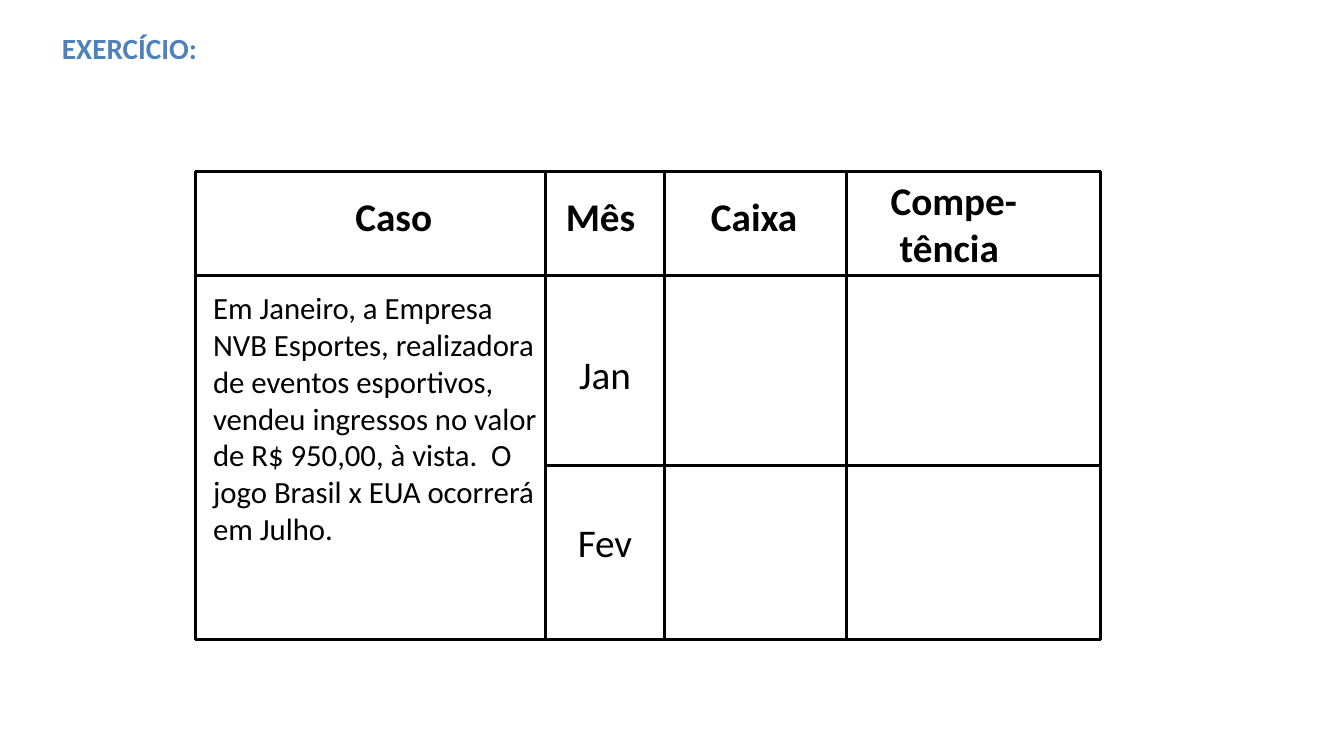
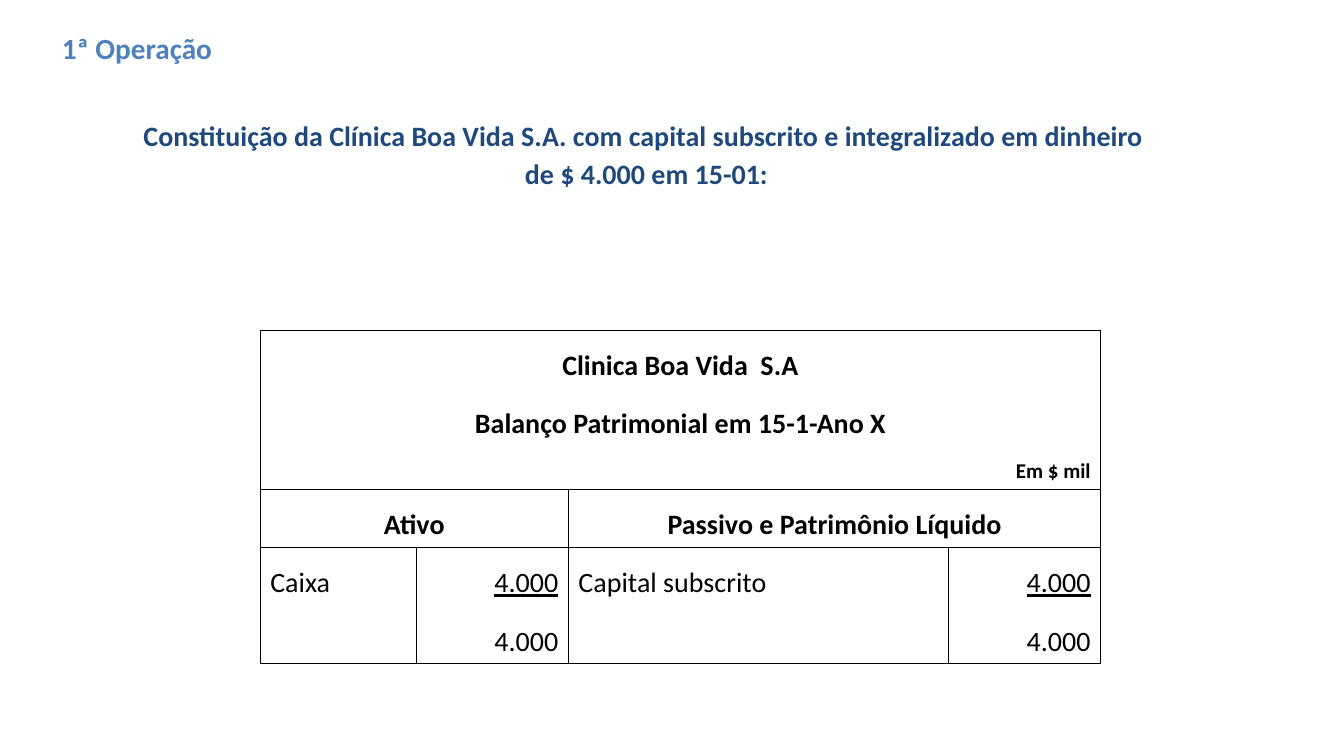
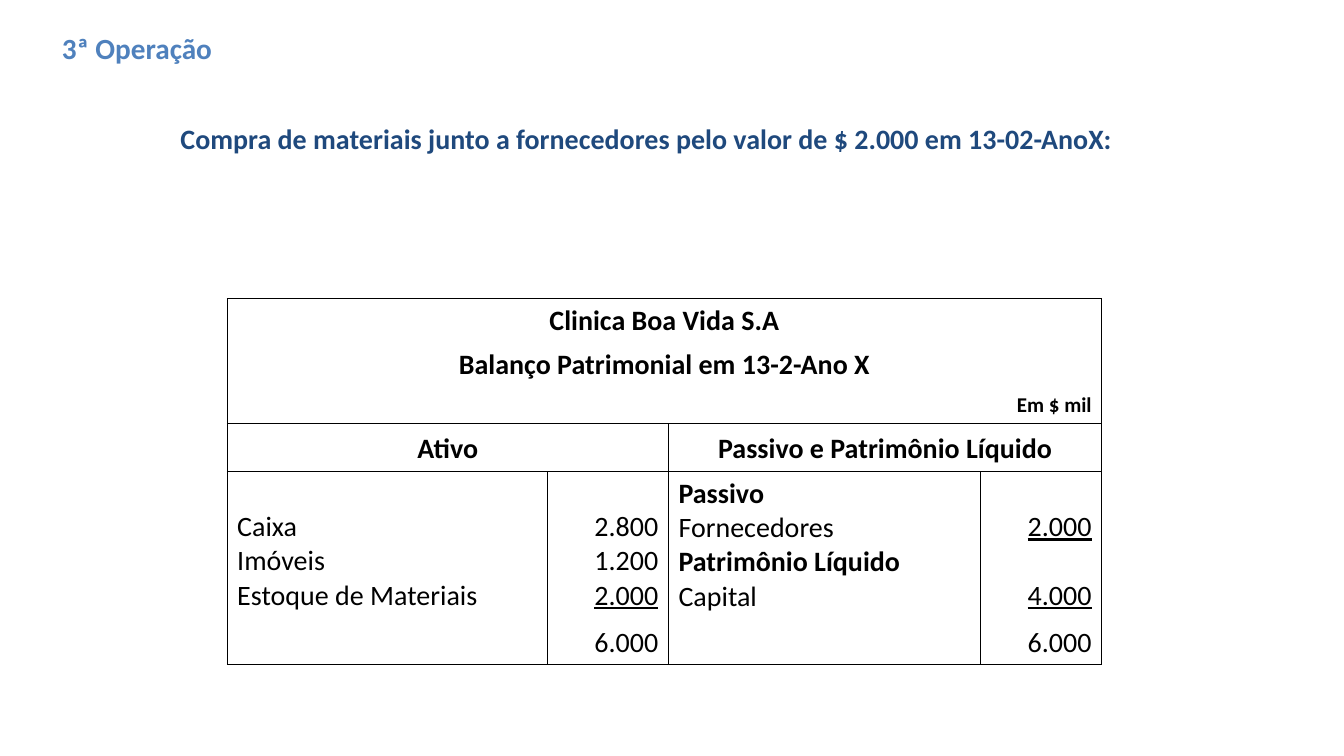
from lxml import etree
from pptx import Presentation
from pptx.dml.color import RGBColor
from pptx.enum.shapes import MSO_CONNECTOR
from pptx.enum.text import MSO_ANCHOR, PP_ALIGN
from pptx.oxml.ns import qn
from pptx.util import Emu, Pt

LEFT, CENTER, RIGHT = PP_ALIGN.LEFT, PP_ALIGN.CENTER, PP_ALIGN.RIGHT
TOP, MIDDLE, BOTTOM = MSO_ANCHOR.TOP, MSO_ANCHOR.MIDDLE, MSO_ANCHOR.BOTTOM
STRAIGHT = MSO_CONNECTOR.STRAIGHT
PX = 9080
WIDTH, HEIGHT = 1343, 755

THEME = {
    "font": "Calibri",
    "ink": "000000",
    "paper": "FFFFFF",
    "grid line": Pt(2.25),
    "table line": Pt(0.45),
    "styles": {
        "title": {"size": Pt(20.9), "bold": True, "color": "4F81BD"},
        "lead": {"size": Pt(20), "bold": True, "color": "1F497D"},
        "grid head": {"size": Pt(28), "bold": True},
        "grid month": {"size": Pt(28)},
        "grid case": {"size": Pt(22)},
        "head": {"size": Pt(20), "bold": True},
        "unit": {"size": Pt(15), "bold": True},
        "item": {"size": Pt(20)},
        "sum": {"size": Pt(20), "underline": True},
    },
}
INK = RGBColor.from_string(THEME["ink"])
PAPER = RGBColor.from_string(THEME["paper"])


def write_text(frame, lines, align, anchor):
    """Each line is (text, style) or (text, style, paragraph format)."""
    frame.word_wrap = True
    frame.vertical_anchor = anchor
    for number, (text, style, *layout) in enumerate(lines):
        para = frame.paragraphs[0] if number == 0 else frame.add_paragraph()
        para.text = text
        para.alignment = align
        for name, value in (layout[0] if layout else {}).items():
            setattr(para, name, value)
        looks = {"name": THEME["font"], "color": THEME["ink"], **THEME["styles"][style]}
        color = RGBColor.from_string(looks.pop("color"))
        for span in para.runs:
            span.font.color.rgb = color
            for name, value in looks.items():
                setattr(span.font, name, value)


def draw_border(cell, side, width):
    """Draw one cell edge, or clear it when width is 0."""
    edge = etree.SubElement(cell._tc.get_or_add_tcPr(), qn(f"a:ln{side}"), w=str(width))
    if width:
        fill = etree.SubElement(edge, qn("a:solidFill"))
        etree.SubElement(fill, qn("a:srgbClr"), val=THEME["ink"])
    else:
        etree.SubElement(edge, qn("a:noFill"))


# Text boxes: place (left, top, width, height), line, alignment, anchor
TITLE_PLACE = (52, 24, 916, 47)
pages = [
    [
        (TITLE_PLACE, ("EXERCÍCIO:", "title"), LEFT, MIDDLE),
        ((243, 187, 301, 60), ("Caso", "grid head"), CENTER, TOP),
        ((545, 187, 119, 55), ("Mês ", "grid head"), CENTER, TOP),
        ((679, 187, 158, 60), ("Caixa ", "grid head"), CENTER, TOP),
        ((854, 171, 198, 108), ("Compe-tência ", "grid head"), CENTER, TOP),
        ((545, 345, 119, 47), ("Jan", "grid month"), CENTER, TOP),
        ((545, 513, 119, 90), ("Fev", "grid month"), CENTER, TOP),
        ((203, 283, 356, 341),
         ("Em Janeiro, a Empresa NVB Esportes, realizadora de eventos esportivos, "
          "vendeu ingressos no valor de R$ 950,00, à vista.  O jogo Brasil x EUA "
          "ocorrerá em Julho.", "grid case"), LEFT, TOP),
    ],
    [
        (TITLE_PLACE, ("1ª Operação", "title"), LEFT, MIDDLE),
        ((52, 108, 1188, 95),
         ("Constituição da Clínica Boa Vida S.A. com capital subscrito e integralizado "
          "em dinheiro \vde $ 4.000 em 15-01:", "lead", {"line_spacing": 1.15}), CENTER, TOP),
    ],
    [
        (TITLE_PLACE, ("3ª Operação", "title"), LEFT, MIDDLE),
        ((52, 108, 1188, 52),
         ("Compra de materiais junto a fornecedores pelo valor de $ 2.000 em 13-02-AnoX:",
          "lead", {"line_spacing": 1.25}), CENTER, TOP),
    ],
]

deck = Presentation()
deck.slide_width, deck.slide_height = Emu(WIDTH * PX), Emu(HEIGHT * PX)

for boxes in pages:
    page = deck.slides.add_slide(deck.slide_layouts[6])
    for place, line, align, anchor in boxes:
        box = page.shapes.add_textbox(*(length * PX for length in place))
        write_text(box.text_frame, [line], align, anchor)

exercise_page, *balance_pages = deck.slides

# Exercise grid: the case column has no line between the two months
columns_x = [195, 545, 664, 846, 1100]
rows_y = [171, 275, 465, 639]
month_y = rows_y[2]
rules = [(x, rows_y[0], x, rows_y[-1]) for x in columns_x]
rules += [(columns_x[1 if y == month_y else 0], y, columns_x[-1], y) for y in rows_y]
for rule in rules:
    connector = exercise_page.shapes.add_connector(STRAIGHT, *(point * PX for point in rule))
    connector.line.color.rgb = INK
    connector.line.width = THEME["grid line"]
    etree.SubElement(connector._element.spPr, qn("a:effectLst"))

# Balance sheets: heading, date, then four columns of entries and their totals
balances = [
    {"place": (260, 330), "cols": [156, 152, 380, 152], "rows": [58, 58, 43, 58, 58, 58],
     "company": "Clinica Boa Vida  S.A", "date": "15-1-Ano X", "total": "4.000",
     "entries": [[("Caixa", "item")], [("4.000", "sum")],
                 [("Capital subscrito", "item")], [("4.000", "sum")]]},
    {"place": (227, 298), "cols": [320, 121, 312, 121], "rows": [44, 45, 36, 48, 146, 47],
     "company": "Clinica Boa Vida S.A", "date": "13-2-Ano X", "total": "6.000",
     "entries": [[("Caixa", "item"), ("Imóveis", "item"), ("Estoque de Materiais", "item")],
                 [("2.800", "item"), ("1.200", "item"), ("2.000", "sum")],
                 [("Passivo", "head"), ("Fornecedores", "item"),
                  ("Patrimônio Líquido", "head"), ("Capital", "item")],
                 [("2.000", "sum"), ("4.000", "sum", {"space_before": Pt(24.4)})]]},
]
MERGES = [((row, 0), (row, 3)) for row in range(3)] + [((3, 0), (3, 1)), ((3, 2), (3, 3))]
OPEN_ROWS = (0, 1, 4)  # rows without a line below

for page, balance in zip(balance_pages, balances):
    # Table frame
    cols, rows = balance["cols"], balance["rows"]
    left, top = balance["place"]
    table = page.shapes.add_table(len(rows), len(cols), left * PX, top * PX,
                                  sum(cols) * PX, sum(rows) * PX).table
    table.first_row = table.horz_banding = False
    for column, width in zip(table.columns, cols):
        column.width = Emu(width * PX)
    for table_row, height in zip(table.rows, rows):
        table_row.height = Emu(height * PX)
    for start, end in MERGES:
        table.cell(*start).merge(table.cell(*end))

    # Cell edges and fill
    line = THEME["table line"]
    for row in range(len(rows)):
        above = 0 if row - 1 in OPEN_ROWS else line
        below = 0 if row in OPEN_ROWS else line
        for col in range(len(cols)):
            cell = table.cell(row, col)
            for side, width in zip("LRTB", (line, line, above, below)):
                draw_border(cell, side, width)
            cell.fill.solid()
            cell.fill.fore_color.rgb = PAPER

    # Cell text
    texts = [
        (0, 0, [(balance["company"], "head")], CENTER),
        (1, 0, [("Balanço Patrimonial em " + balance["date"], "head")], CENTER),
        (2, 0, [("Em $ mil", "unit")], RIGHT),
        (3, 0, [("Ativo", "head")], CENTER),
        (3, 2, [("Passivo e Patrimônio Líquido", "head")], CENTER),
    ]
    for col, lines in enumerate(balance["entries"]):
        texts.append((4, col, lines, RIGHT if col % 2 else LEFT))
    for col in (1, 3):
        texts.append((5, col, [(balance["total"], "item")], RIGHT))
    for row, col, lines, align in texts:
        cell = table.cell(row, col)
        write_text(cell.text_frame, lines, align, BOTTOM)
        cell.vertical_anchor = BOTTOM

deck.save("out.pptx")
